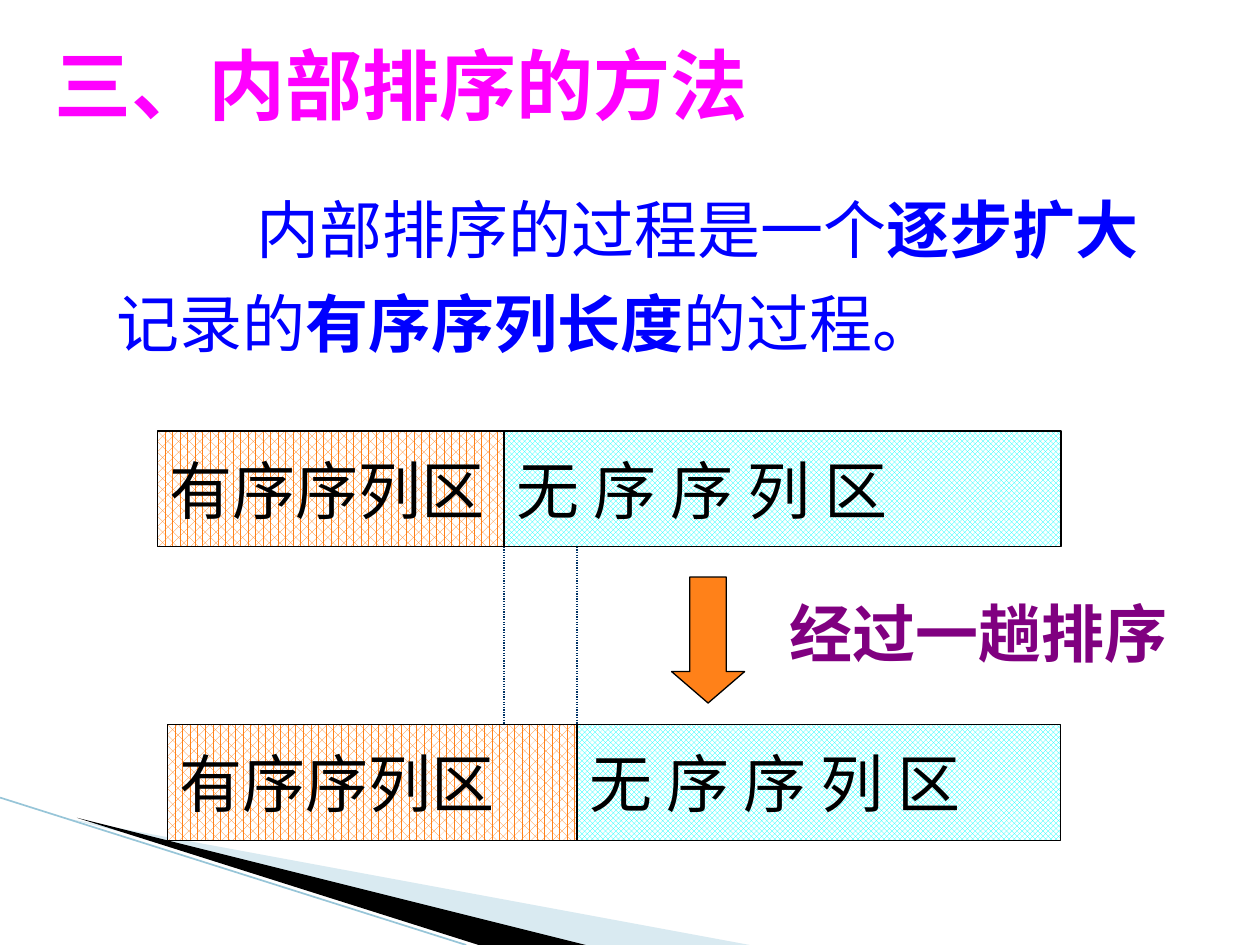
from lxml.etree import SubElement
from pptx import Presentation
from pptx.dml.color import RGBColor
from pptx.enum.dml import MSO_LINE, MSO_PATTERN
from pptx.enum.shapes import MSO_CONNECTOR, MSO_SHAPE
from pptx.enum.text import MSO_ANCHOR, PP_ALIGN
from pptx.oxml.ns import qn
from pptx.util import Inches, Pt

WHITE = RGBColor(0xFF, 0xFF, 0xFF)
BLACK = RGBColor(0, 0, 0)
PINK = RGBColor(0xFF, 0, 0xFF)
BLUE = RGBColor(0, 0, 0xFF)
PURPLE = RGBColor(0x80, 0, 0x80)
ORANGE = RGBColor(0xFF, 0x81, 0x19)
CYAN = RGBColor(0, 0xFF, 0xFF)
NAVY = RGBColor(0, 0x33, 0x66)
PALE = RGBColor(0xA0, 0xCB, 0xDC)
TEAL = RGBColor(0x97, 0xC5, 0xD8)
MONO = "Noto Sans Mono"
SANS = "Noto Sans CJK SC"


def style(run, color, size=36, face=MONO, bold=False):
    form = {"name": face, "size": Pt(size), "bold": bold}
    for key, value in form.items():
        setattr(run.font, key, value)
    run.font.color.rgb = color
    SubElement(run.font._element, qn("a:ea"), typeface=SANS)


def write(para, text, color, **form):
    para.alignment = PP_ALIGN.LEFT
    run = para.add_run()
    run.text = text
    style(run, color, **form)


def frame(shape, wrap, anchor=MSO_ANCHOR.TOP):
    text = shape.text_frame
    form = {"word_wrap": wrap, "vertical_anchor": anchor}
    for key, value in form.items():
        setattr(text, key, value)
    return text


def rule(slide, start, end, color, width, dash=None):
    line = slide.shapes.add_connector(
        MSO_CONNECTOR.STRAIGHT, *map(Inches, start + end))
    SubElement(line._element.spPr, qn("a:effectLst"))
    line.line.color.rgb = color
    line.line.width = Pt(width)
    if dash:
        line.line.dash_style = dash


def wedge(slide, points, color, alpha=None):
    first, *rest = [tuple(map(Inches, point)) for point in points]
    build = slide.shapes.build_freeform(*first)
    build.add_line_segments(rest)
    shape = build.convert_to_shape()
    shape.shadow.inherit = False
    shape.fill.solid()
    shape.fill.fore_color.rgb = color
    shape.line.fill.background()
    if alpha:
        tint = shape._element.spPr.find(".//" + qn("a:srgbClr"))
        SubElement(tint, qn("a:alpha"), val=str(alpha * 1000))


def corner(slide, left, top, base):
    wedge(slide, [(left, top), (5.95, base), (4.56, base)], PALE, 40)
    wedge(slide, [(left + 0.06, top - 0.01), (4.65, base), (3.8, base)], BLACK)
    rule(slide, (0, 6.33), (3.7, base), TEAL, 0.95)


def head(slide, box):
    title = slide.shapes.title
    title.left, title.top, title.width, title.height = map(Inches, box)
    write(frame(title, False).paragraphs[0], "三、内部排序的方法",
          PINK, size=44, bold=True)


def body(slide, box):
    rows = [
        [("内部排序的过程是一个", False), ("逐步扩大", True)],
        [("记录的", False), ("有序序列长度", True), ("的过程。", False)],
    ]
    text = frame(slide.shapes.add_textbox(*map(Inches, box)), True)
    text.margin_top = Inches(0.13)
    for index, row in enumerate(rows):
        para = text.add_paragraph() if index else text.paragraphs[0]
        para.line_spacing = 1.25
        for part, bold in row:
            write(para, part, BLUE, bold=bold)
    indent = text.paragraphs[0]._p.get_or_add_pPr()
    indent.set("indent", str(Inches(1.11)))


def block(slide, box, kind=MSO_SHAPE.RECTANGLE):
    shape = slide.shapes.add_shape(kind, *map(Inches, box))
    shape.shadow.inherit = False
    shape.line.color.rgb = BLACK
    shape.line.width = Pt(0.75)
    return shape


def band(slide, box, split):
    left, top, width, height = box
    parts = [
        (left, split, "有序序列区", MONO, MSO_PATTERN.PERCENT_60, ORANGE),
        (split, left + width, "无 序 序 列 区", SANS, MSO_PATTERN.TRELLIS, CYAN),
    ]
    for start, end, label, face, weave, color in parts:
        shape = block(slide, (start, top, end - start, height))
        shape.fill.patterned()
        shape.fill.pattern = weave
        shape.fill.fore_color.rgb = color
        shape.fill.back_color.rgb = WHITE
        text = frame(shape, False, MSO_ANCHOR.MIDDLE)
        write(text.paragraphs[0], label, BLACK, face=face)


def step(slide, box):
    left, top, width, height = box
    arrow = block(slide, (left, top, 0.58, height), MSO_SHAPE.DOWN_ARROW)
    arrow.adjustments[0] = 0.5
    arrow.adjustments[1] = 0.43
    arrow.fill.solid()
    arrow.fill.fore_color.rgb = ORANGE
    note = slide.shapes.add_textbox(
        *map(Inches, (left + 0.84, top + 0.09, width - 0.84, 0.7)))
    write(frame(note, True).paragraphs[0], "经过一趟排序", PURPLE, bold=True)


def chart(slide, box):
    left, top, width, height = box
    deep, right = 0.92, left + width
    low = top + height - deep
    old, new = 4, 4.58
    band(slide, (left, top, width, deep), old)
    band(slide, (left + 0.08, low, right - left - 0.08, deep), new)
    step(slide, (5.33, 4.58, 4.67, 1))
    for x in (old, new):
        rule(slide, (x, top + deep), (x, low), NAVY, 0.75, MSO_LINE.ROUND_DOT)


def main():
    deck = Presentation()
    deck.slide_width, deck.slide_height = Inches(10), Inches(7.5)
    slide = deck.slides.add_slide(deck.slide_layouts[5])
    corner(slide, 0.55, 6.5, 7.5)
    head(slide, (0.33, 0.25, 5.75, 0.83))
    body(slide, (0.83, 1.23, 8.58, 1.69))
    chart(slide, (1.25, 3.42, 7.17, 3.25))
    deck.save("out.pptx")


if __name__ == "__main__":
    main()
